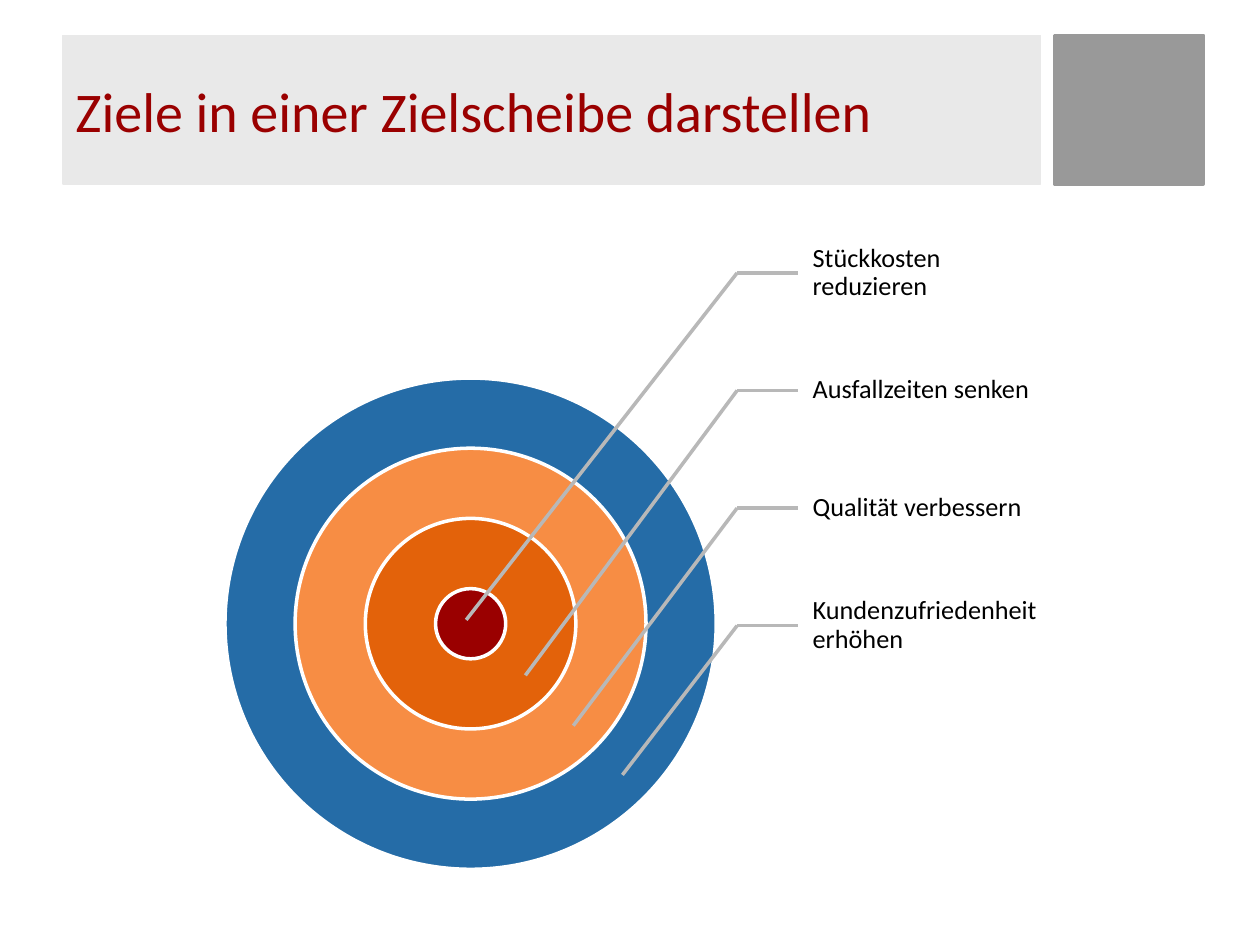
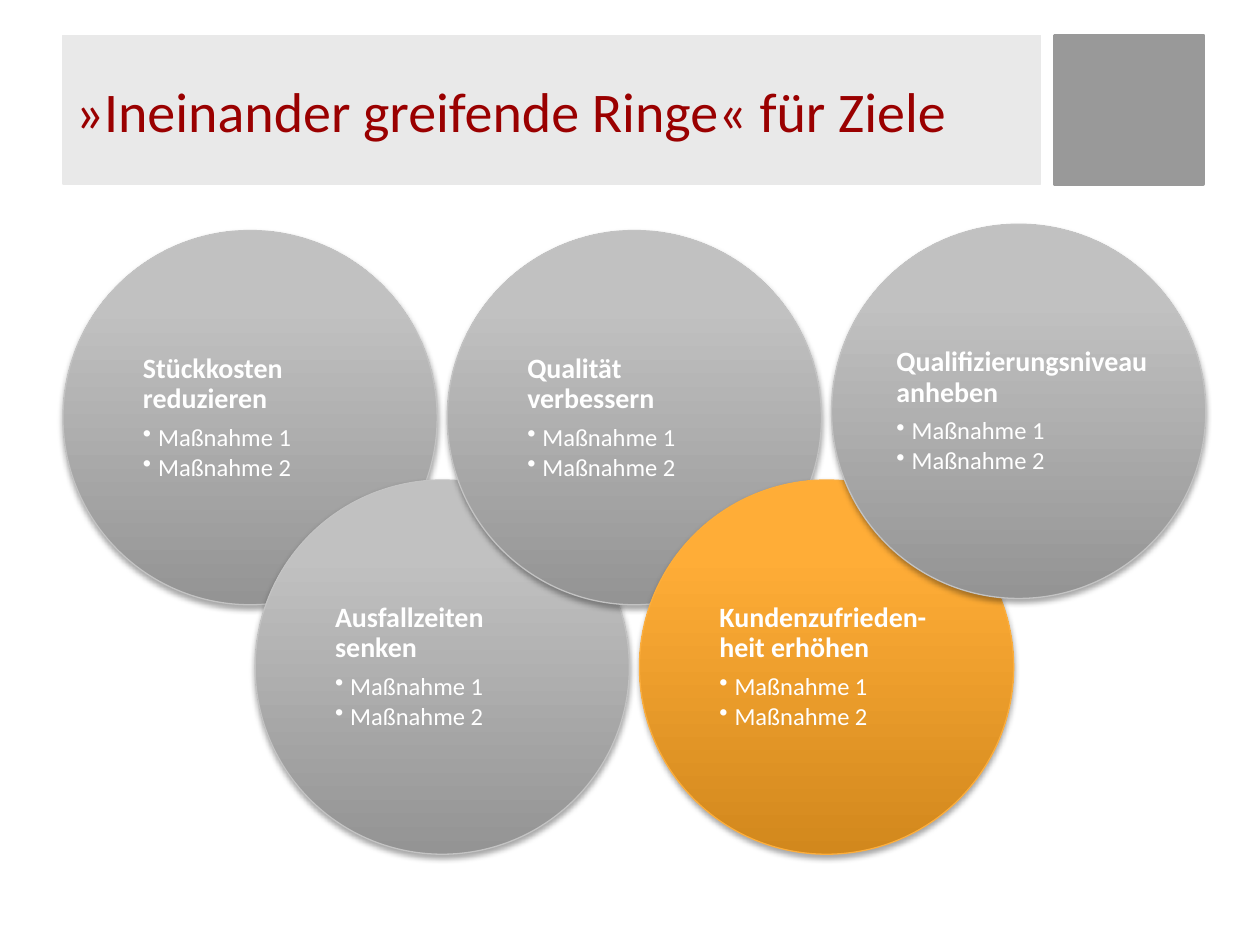
from copy import deepcopy

from lxml import etree
from pptx import Presentation
from pptx.dml.color import RGBColor as RGB
from pptx.enum.shapes import MSO_CONNECTOR as CONN, MSO_SHAPE as SHAPE
from pptx.enum.text import MSO_ANCHOR as ANCHOR, PP_ALIGN as ALIGN
from pptx.oxml import parse_xml
from pptx.oxml.ns import nsdecls, qn
from pptx.util import Inches, Pt

WHITE = RGB(0xFF, 0xFF, 0xFF)
BLACK = RGB(0x00, 0x00, 0x00)
DARK_RED = RGB(0x9A, 0x00, 0x00)
BAND = RGB(0xE9, 0xE9, 0xE9)
CORNER = RGB(0x99, 0x99, 0x99)
LEADER = RGB(0xB8, 0xB8, 0xB8)
BLUE = RGB(0x25, 0x6C, 0xA7)
LIGHT_ORANGE = RGB(0xF7, 0x8D, 0x44)
ORANGE = RGB(0xE3, 0x62, 0x0A)

# Gradient from bottom to top, then the outline colour
GREY_RING = (RGB(0x94, 0x94, 0x94), RGB(0xC1, 0xC1, 0xC1),
             RGB(0xC2, 0xC2, 0xC2), RGB(0xC3, 0xC3, 0xC3))
GOLD_RING = (RGB(0xD2, 0x88, 0x1D), RGB(0xFF, 0xAD, 0x37),
             RGB(0xFF, 0xAE, 0x39), RGB(0xFC, 0xAE, 0x3D))
STOPS = (0, 0.8, 1)

COLS, ROWS = 100, 75
FONT = "Calibri"


class Deck:
    """Draws on the current slide; lengths are columns and rows of the grid."""

    def __init__(self):
        self.prs = Presentation()
        self.prs.slide_width, self.prs.slide_height = Inches(10), Inches(7.5)
        self.col = self.prs.slide_width / COLS
        self.row = self.prs.slide_height / ROWS

    def grid(self, *lengths):
        """Turn alternating columns and rows into slide lengths."""
        return [round(n * (self.row if i % 2 else self.col))
                for i, n in enumerate(lengths)]

    def slide(self, title):
        self.s = self.prs.slides.add_slide(self.prs.slide_layouts[6])
        self.shape(SHAPE.RECTANGLE, (83.7, 2.8, 11.8, 11.8), CORNER, CORNER, 2)
        band = self.shape(SHAPE.RECTANGLE, (5, 2.8, 77.6, 11.8), BAND, BAND, 0.75)
        tf = self.frame(band, (1, 0.5, 1, 0.5))
        self.add_text(tf.paragraphs[0], title, 32, DARK_RED)

    def shape(self, kind, box, fill, line, width):
        sp = self.s.shapes.add_shape(kind, *self.grid(*box))
        sp.shadow.inherit = False
        if fill is not None:
            sp.fill.solid()
            sp.fill.fore_color.rgb = fill
        sp.line.color.rgb = line
        sp.line.width = Pt(width)
        return sp

    def frame(self, sp, insets):
        tf = sp.text_frame
        tf.word_wrap = True
        tf.vertical_anchor = ANCHOR.MIDDLE
        (tf.margin_left, tf.margin_top,
         tf.margin_right, tf.margin_bottom) = self.grid(*insets)
        return tf

    def text_box(self, box, insets):
        return self.frame(self.s.shapes.add_textbox(*self.grid(*box)), insets)

    def add_text(self, p, text, size, color, bold=False):
        p.alignment = ALIGN.LEFT
        for i, line in enumerate(text.split("\n")):
            if i:
                p.add_line_break()
            r = p.add_run()
            r.text = line
            r.font.name, r.font.size, r.font.bold = FONT, Pt(size), bold
            r.font.color.rgb = color

    def spacing(self, p, after):
        p.line_spacing, p.space_after = 0.9, Pt(after)

    def bullet(self, p):
        pPr = p._p.get_or_add_pPr()
        indent = self.grid(1.2)[0]
        pPr.set("marL", str(indent))
        pPr.set("indent", str(-indent))
        etree.SubElement(pPr, qn("a:buChar")).set("char", "•")

    def leader(self, *ends):
        ln = self.s.shapes.add_connector(CONN.STRAIGHT, *self.grid(*ends))
        ln.line.color.rgb = LEADER
        ln.line.width = Pt(2)
        etree.SubElement(ln._element.spPr, qn("a:effectLst"))

    def disc(self, cx, cy, size, fill):
        box = (cx - size / 2, cy - size / 2, size, size)
        self.shape(SHAPE.OVAL, box, fill, WHITE, 2)

    def label(self, x, y, w, h, text):
        tf = self.text_box((x, y, w, h), (1.2, 0.2, 0.2, 0.2))
        p = tf.paragraphs[0]
        self.spacing(p, 5)
        self.add_text(p, text, 15, BLACK)

    def ring(self, x, y, size, palette):
        """Circle with a vertical gradient and a soft shadow below."""
        *colors, line = palette
        sp = self.shape(SHAPE.OVAL, (x, y, size, size), None, line, 0.75)
        sp.fill.gradient()
        sp.fill.gradient_angle = 90
        gs_lst = sp._element.spPr.find(".//" + qn("a:gsLst"))
        gs_lst.append(deepcopy(gs_lst[-1]))
        for stop, position, color in zip(sp.fill.gradient_stops, STOPS, colors):
            stop.position = position
            stop.color.rgb = color
        sp._element.spPr.find(qn("a:effectLst")).append(parse_xml(
            f'<a:outerShdw {nsdecls("a")} blurRad="40000" dist="23000" '
            'dir="5400000" rotWithShape="0"><a:srgbClr val="000000">'
            '<a:alpha val="35000"/></a:srgbClr></a:outerShdw>'))

    def goal(self, x, y, size, heading, measures, inset):
        tf = self.text_box((x, y, size, size), (inset, 0.7, 0, 0.7))
        p = tf.paragraphs[0]
        self.spacing(p, 6)
        self.add_text(p, heading, 16, WHITE, bold=True)
        for measure in measures:
            p = tf.add_paragraph()
            p.level = 1
            self.spacing(p, 2)
            self.bullet(p)
            self.add_text(p, measure, 14, WHITE)


def target_slide(deck):
    deck.slide("Ziele in einer Zielscheibe darstellen")
    bull = 5.57
    for n, color in zip((7, 5, 3, 1), (BLUE, LIGHT_ORANGE, ORANGE, DARK_RED)):
        deck.disc(37.35, 49.5, n * bull, color)

    elbow, label_x, top, step = 58.5, 63.3, 17, 9.33
    goals = [("Stückkosten reduzieren", 37, 49.2),
             ("Ausfallzeiten senken", 41.7, 53.6),
             ("Qualität verbessern", 45.5, 57.6),
             ("Kundenzufriedenheit erhöhen", 49.4, 61.5)]
    for i, (text, x, y) in enumerate(goals):
        row = top + i * step
        middle = row + step / 2
        deck.label(label_x, row, 19.5, step, text)
        deck.leader(elbow, middle, label_x, middle)
        deck.leader(elbow, middle, x, y)


def rings_slide(deck):
    deck.slide("»Ineinander greifende Ringe« für Ziele")
    size, text_size, step = 29.7, 21, 15.25
    margin = (size - text_size) / 2
    upper, lower = 18.3, 38.1
    goals = [("Stückkosten\nreduzieren", upper, GREY_RING, 2),
             ("Ausfallzeiten\nsenken", lower, GREY_RING, 2),
             ("Qualität\nverbessern", upper, GREY_RING, 2),
             ("Kundenzufrieden-heit erhöhen", lower, GOLD_RING, 2),
             ("Qualifizierungsniveau\nanheben", upper - 0.5, GREY_RING, 0.8)]
    for i, (heading, y, palette, inset) in enumerate(goals):
        x = 5 + i * step
        deck.ring(x, y, size, palette)
        deck.goal(x + margin, y + margin, text_size, heading,
                  ("Maßnahme 1", "Maßnahme 2"), inset)


def main():
    deck = Deck()
    target_slide(deck)
    rings_slide(deck)
    deck.prs.save("out.pptx")


if __name__ == "__main__":
    main()
